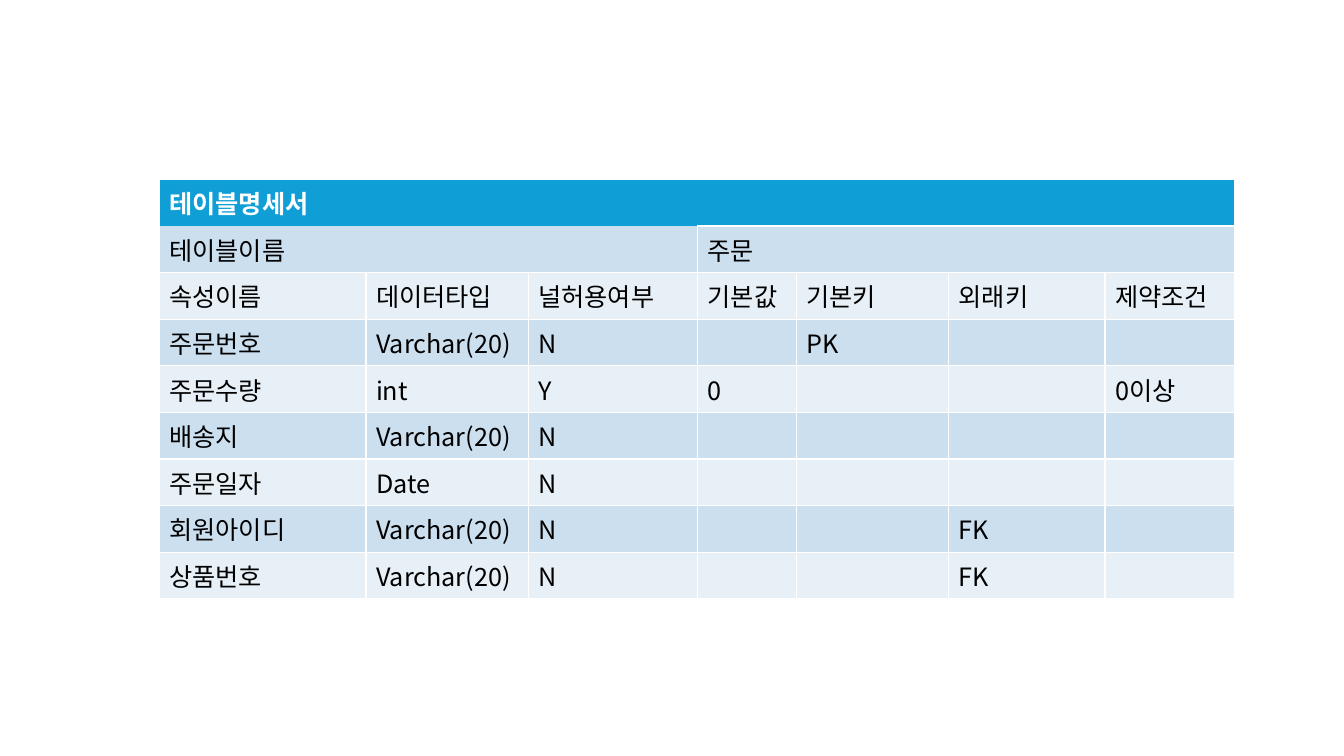
from dataclasses import dataclass

import lxml.etree
import pptx
import pptx.dml.color
import pptx.oxml.ns
import pptx.table
import pptx.util

FONT = "Noto Sans CJK KR"
WHITE = "FFFFFF"
BLACK = "000000"
HEADER_BLUE = "0F9ED5"
BANDS = ("CCDFEF", "E7F0F7")
EDGES = "LRTB"
ROW_HEIGHT = 0.44
COLUMN_WIDTHS = (2.05, 1.61, 1.68, 0.98, 1.51, 1.55, 1.29)


@dataclass(frozen=True)
class Entry:
    row: int
    column: int
    text: str
    fill: str
    span: int = 1
    color: str = BLACK
    bold: bool = False
    edges: str = EDGES


ATTRIBUTES = (
    ("속성이름", "데이터타입", "널허용여부", "기본값", "기본키", "외래키", "제약조건"),
    ("주문번호", "Varchar(20)", "N", "", "PK", "", ""),
    ("주문수량", "int", "Y", "0", "", "", "0이상"),
    ("배송지", "Varchar(20)", "N", "", "", "", ""),
    ("주문일자", "Date", "N", "", "", "", ""),
    ("회원아이디", "Varchar(20)", "N", "", "", "FK", ""),
    ("상품번호", "Varchar(20)", "N", "", "", "FK", ""),
)
HEADINGS = (
    Entry(0, 0, "테이블명세서", HEADER_BLUE, 7, WHITE, True, "LRT"),
    Entry(1, 0, "테이블이름", BANDS[0], 3, edges="LRB"),
    Entry(1, 3, "주문", BANDS[0], 4),
)


def rgb(color: str) -> pptx.dml.color.RGBColor:
    return pptx.dml.color.RGBColor.from_string(color)


def add_borders(cell: pptx.table._Cell, edges: str) -> None:
    qn = pptx.oxml.ns.qn
    properties = cell._tc.get_or_add_tcPr()
    for edge in EDGES:
        line = lxml.etree.SubElement(properties, qn(f"a:ln{edge}"), w="12700")
        if edge in edges:
            fill = lxml.etree.SubElement(line, qn("a:solidFill"))
            lxml.etree.SubElement(fill, qn("a:srgbClr"), val=WHITE)
        else:
            lxml.etree.SubElement(line, qn("a:noFill"))


def write_entry(table: pptx.table.Table, entry: Entry) -> None:
    cell = table.cell(entry.row, entry.column)
    last = entry.column + entry.span - 1
    if entry.span > 1:
        cell.merge(table.cell(entry.row, last))
    for column in range(entry.column, last + 1):
        part = table.cell(entry.row, column)
        add_borders(part, entry.edges)
        part.fill.solid()
        part.fill.fore_color.rgb = rgb(entry.fill)
    cell.text = entry.text
    font = cell.text_frame.paragraphs[0].font
    font.name = FONT
    font.size = pptx.util.Pt(18)
    font.bold = entry.bold
    font.color.rgb = rgb(entry.color)
    lxml.etree.SubElement(font._element, pptx.oxml.ns.qn("a:ea"), typeface=FONT)


def main() -> None:
    inches = pptx.util.Inches
    presentation = pptx.Presentation()
    presentation.slide_width = inches(13.33)
    presentation.slide_height = inches(7.5)
    slide = presentation.slides.add_slide(presentation.slide_layouts[6])
    row_count = len(ATTRIBUTES) + 2
    specification = slide.shapes.add_table(
        row_count, len(COLUMN_WIDTHS), inches(1.58), inches(1.78),
        inches(sum(COLUMN_WIDTHS)), inches(ROW_HEIGHT * row_count),
    ).table
    for column, width in zip(specification.columns, COLUMN_WIDTHS):
        column.width = inches(width)
    for row in specification.rows:
        row.height = inches(ROW_HEIGHT)
    for heading in HEADINGS:
        write_entry(specification, heading)
    for row, texts in enumerate(ATTRIBUTES, start=2):
        for column, text in enumerate(texts):
            write_entry(specification, Entry(row, column, text, BANDS[(row - 1) % 2]))
    presentation.save("out.pptx")


if __name__ == "__main__":
    main()
